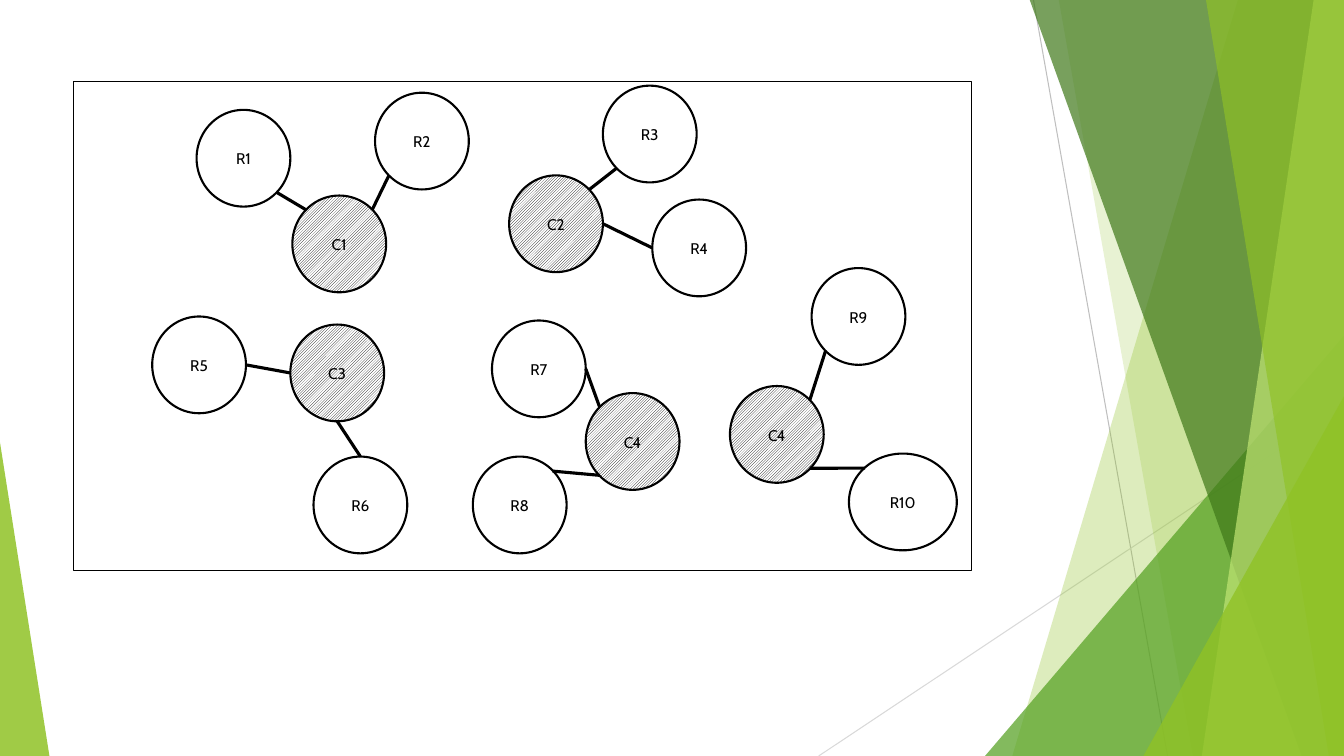
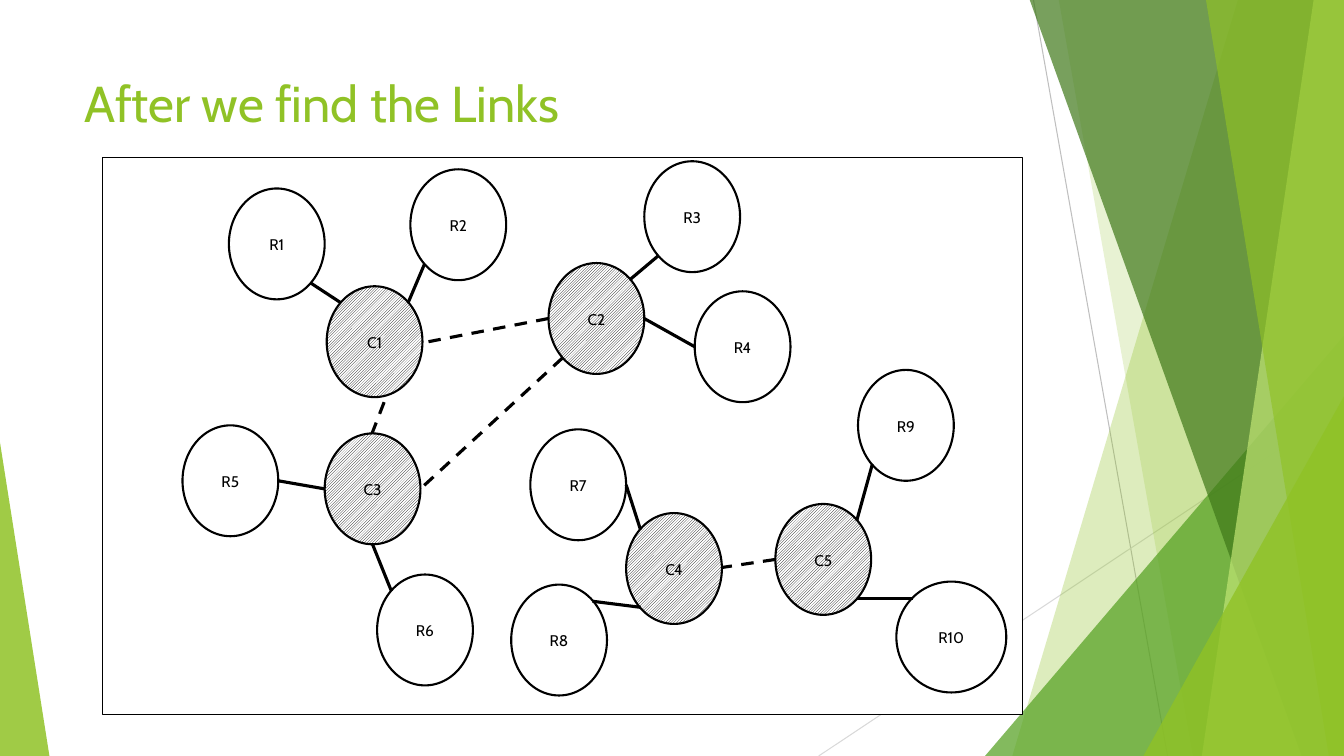
from dataclasses import dataclass, field
from typing import Optional, Union

from lxml import etree
from pptx import Presentation
from pptx.dml.color import RGBColor
from pptx.enum.dml import MSO_LINE, MSO_PATTERN
from pptx.enum.shapes import MSO_CONNECTOR, MSO_SHAPE
from pptx.enum.text import MSO_ANCHOR, MSO_AUTO_SIZE, PP_ALIGN
from pptx.oxml.ns import qn
from pptx.util import Inches, Pt

STRAIGHT = MSO_CONNECTOR.STRAIGHT
TRIANGLE = MSO_SHAPE.ISOSCELES_TRIANGLE
ELLIPSE = MSO_SHAPE.OVAL
RECTANGLE = MSO_SHAPE.RECTANGLE
DASH = MSO_LINE.DASH
HATCH = MSO_PATTERN.LIGHT_UPWARD_DIAGONAL
CENTER, LEFT = PP_ALIGN.CENTER, PP_ALIGN.LEFT
MIDDLE, TOP = MSO_ANCHOR.MIDDLE, MSO_ANCHOR.TOP

WIDTH, HEIGHT = 13.33, 7.5
FONT = "Cabin"
COLORS = {
    "black": "000000",
    "white": "FFFFFF",
    "lime": "90C226",
    "pale_lime": "C0E474",
    "green": "54A021",
    "dark_green": "3F7819",
    "gray": "BFBFBF",
    "light_gray": "D9D9D9",
}

Point = tuple[float, float]
Box = tuple[float, float, float, float]


@dataclass(frozen=True)
class Line:
    start: Point
    end: Point
    color: str = "black"
    weight: float = 2.25
    dashed: bool = False


@dataclass(frozen=True)
class Band:
    """A full-height band, given by its left and right edges."""
    top_left: float
    top_right: float
    bottom_right: float
    bottom_left: float
    color: str
    opacity: int


@dataclass(frozen=True)
class Wedge:
    """A triangle with its apex at the left (0) or right (1)."""
    box: Box
    apex: int
    color: str
    opacity: int


@dataclass(frozen=True)
class Link:
    first: str
    first_site: str
    second: str
    second_site: str


@dataclass(frozen=True)
class Diagram:
    frame: Box
    circle_size: Point
    positions: dict[str, Point]
    links: list[Link]
    title: Optional[str] = None
    labels: dict[str, str] = field(default_factory=dict)
    dashes: list[tuple[Point, Point]] = field(default_factory=list)


# Shared backdrop, from back to front
BACKDROP: list[Union[Line, Band, Wedge]] = [
    Line((10.25, 0), (11.58, HEIGHT), "gray", 0.75),
    Line((WIDTH, 4.03), (8.12, HEIGHT), "light_gray", 0.75),
    Band(12.28, WIDTH, WIDTH, 10.04, "lime", 30),
    Band(10.5, WIDTH, WIDTH, 11.83, "lime", 20),
    Wedge((9.77, 3.33, 3.56, 4.17), 1, "green", 72),
    Band(10.21, WIDTH, WIDTH, 12.91, "dark_green", 70),
    Band(13.03, WIDTH, WIDTH, 11.92, "pale_lime", 70),
    Band(11.96, WIDTH, WIDTH, 13.18, "lime", 65),
    Wedge((11.34, 3.93, 1.99, 3.57), 1, "lime", 80),
    Wedge((0, 4.39, 0.49, 3.11), 0, "lime", 85),
]

# Points on a circle, as fractions of its width and height
NEAR, FAR = 0.15, 0.85
SITES: dict[str, Point] = {
    "top": (0.5, 0), "bottom": (0.5, 1),
    "left": (0, 0.5), "right": (1, 0.5),
    "top left": (NEAR, NEAR), "top right": (FAR, NEAR),
    "bottom left": (NEAR, FAR), "bottom right": (FAR, FAR),
}
EXTRA_WIDTH = {"R10": 0.14}

LINKS = [
    Link("R1", "bottom right", "C1", "top left"),
    Link("R2", "bottom left", "C1", "top right"),
    Link("C3", "left", "R5", "right"),
    Link("R3", "bottom left", "C2", "top right"),
    Link("R4", "left", "C2", "right"),
    Link("C4", "top left", "R7", "right"),
    Link("C4", "bottom left", "R8", "top right"),
    Link("R9", "bottom left", "C5", "top right"),
    Link("R10", "top left", "C5", "bottom right"),
]

DIAGRAMS = [
    Diagram(
        frame=(0.73, 0.81, 8.91, 4.85),
        circle_size=(0.93, 0.96),
        positions={
            "C1": (2.9, 1.94), "C2": (5.05, 1.74), "C3": (2.88, 3.22),
            "C4": (5.81, 3.9), "C5": (7.24, 3.83),
            "R1": (1.95, 1.09), "R2": (3.72, 0.92), "R3": (5.98, 0.85),
            "R4": (6.47, 1.98), "R5": (1.51, 3.14), "R6": (3.11, 4.53),
            "R7": (4.88, 3.18), "R8": (4.69, 4.53), "R9": (8.05, 2.66),
            "R10": (8.42, 4.5),
        },
        links=LINKS + [Link("C3", "bottom", "R6", "top")],
        labels={"C5": "C4"},
    ),
    Diagram(
        title="After we find the Links",
        frame=(1.02, 1.56, 9.12, 5.53),
        circle_size=(0.95, 1.1),
        positions={
            "C1": (3.24, 2.84), "C2": (5.44, 2.61), "C3": (3.22, 4.3),
            "C4": (6.21, 5.09), "C5": (7.69, 5),
            "R1": (2.27, 1.87), "R2": (4.07, 1.68), "R3": (6.39, 1.6),
            "R4": (6.89, 2.89), "R5": (1.81, 4.22), "R6": (3.74, 5.7),
            "R7": (5.26, 4.26), "R8": (5.07, 5.8), "R9": (8.51, 3.67),
            "R10": (8.89, 5.77),
        },
        links=LINKS + [Link("C3", "bottom", "R6", "top left")],
        dashes=[
            ((3.81, 3.99), (3.69, 4.3)),
            ((5.44, 3.16), (4.25, 3.39)),
            ((5.58, 3.55), (4.17, 4.85)),
            ((7.69, 5.55), (7.16, 5.63)),
        ],
    ),
]


def rgb(name: str) -> RGBColor:
    return RGBColor.from_string(COLORS[name])


def add_text(paragraph, text: str, size: float, color: str) -> None:
    run = paragraph.add_run()
    run.text = text
    run.font.name = FONT
    run.font.size = Pt(size)
    run.font.color.rgb = rgb(color)


def add_line(slide, line: Line):
    ends = [Inches(value) for value in (*line.start, *line.end)]
    connector = slide.shapes.add_connector(STRAIGHT, *ends)
    connector.line.color.rgb = rgb(line.color)
    connector.line.width = Pt(line.weight)
    if line.dashed:
        connector.line.dash_style = DASH
    properties = connector.element.find(qn("p:spPr"))
    etree.SubElement(properties, qn("a:effectLst"))
    return connector


def add_outlined(slide, kind, box: Box, weight: float):
    shape = slide.shapes.add_shape(kind, *[Inches(value) for value in box])
    shape.shadow.inherit = False
    shape.line.color.rgb = rgb("black")
    shape.line.width = Pt(weight)
    return shape


def add_facet(slide, facet: Union[Band, Wedge]):
    if isinstance(facet, Wedge):
        box = [Inches(value) for value in facet.box]
        shape = slide.shapes.add_shape(TRIANGLE, *box)
        shape.adjustments[0] = facet.apex
    else:
        top, bottom = Inches(-0.01), Inches(HEIGHT)
        builder = slide.shapes.build_freeform(Inches(facet.top_left), top)
        builder.add_line_segments([
            (Inches(facet.top_right), top),
            (Inches(facet.bottom_right), bottom),
            (Inches(facet.bottom_left), bottom),
        ], close=True)
        shape = builder.convert_to_shape()
    shape.shadow.inherit = False
    shape.line.fill.background()
    shape.fill.solid()
    shape.fill.fore_color.rgb = rgb(facet.color)
    color = shape.element.xpath("./p:spPr/a:solidFill/a:srgbClr")[0]
    etree.SubElement(color, qn("a:alpha"), val=str(facet.opacity * 1000))
    return shape


def move_backdrop_to_master(presentation, slide) -> None:
    """Draw the backdrop on a slide, then hand it to the slide master."""
    tree = presentation.slide_master.shapes.element
    for index, part in enumerate(BACKDROP):
        draw = add_line if isinstance(part, Line) else add_facet
        element = draw(slide, part).element
        element.xpath(".//p:cNvPr")[0].set("id", str(100 + index))
        tree.insert(2 + index, element)


def add_title(slide, text: str) -> None:
    title = slide.shapes.title
    title.left, title.top = Inches(0.74), Inches(0.67)
    title.width, title.height = Inches(9.4), Inches(1.44)
    frame = title.text_frame
    frame.auto_size = MSO_AUTO_SIZE.NONE
    frame.vertical_anchor = TOP
    paragraph = frame.paragraphs[0]
    paragraph.alignment = LEFT
    add_text(paragraph, text, 36, "lime")


def circle_box(diagram: Diagram, name: str) -> Box:
    width, height = diagram.circle_size
    return (*diagram.positions[name], width + EXTRA_WIDTH.get(name, 0), height)


def site_point(diagram: Diagram, name: str, site: str) -> Point:
    left, top, width, height = circle_box(diagram, name)
    across, down = SITES[site]
    return left + across * width, top + down * height


def add_circle(slide, diagram: Diagram, name: str) -> None:
    circle = add_outlined(slide, ELLIPSE, circle_box(diagram, name), 1.5)
    if name.startswith("C"):
        circle.fill.patterned()
        circle.fill.pattern = HATCH
        circle.fill.fore_color.rgb = rgb("black")
        circle.fill.back_color.rgb = rgb("white")
    else:
        circle.fill.background()
    circle.text_frame.vertical_anchor = MIDDLE
    paragraph = circle.text_frame.paragraphs[0]
    paragraph.alignment = CENTER
    paragraph.line_spacing = 1.06
    paragraph.space_after = Pt(8)
    add_text(paragraph, diagram.labels.get(name, name), 11, "black")


def add_diagram(slide, diagram: Diagram) -> None:
    if diagram.title:
        add_title(slide, diagram.title)
    frame = add_outlined(slide, RECTANGLE, diagram.frame, 0.75)
    frame.fill.solid()
    frame.fill.fore_color.rgb = rgb("white")
    for name in diagram.positions:
        add_circle(slide, diagram, name)
    for link in diagram.links:
        add_line(slide, Line(site_point(diagram, link.first, link.first_site),
                             site_point(diagram, link.second, link.second_site)))
    for start, end in diagram.dashes:
        add_line(slide, Line(start, end, dashed=True))


def main() -> None:
    presentation = Presentation()
    presentation.slide_width = Inches(WIDTH)
    presentation.slide_height = Inches(HEIGHT)
    title_only, blank = presentation.slide_layouts[5], presentation.slide_layouts[6]
    for index, diagram in enumerate(DIAGRAMS):
        layout = title_only if diagram.title else blank
        slide = presentation.slides.add_slide(layout)
        if index == 0:
            move_backdrop_to_master(presentation, slide)
        add_diagram(slide, diagram)
    presentation.save("out.pptx")


if __name__ == "__main__":
    main()
